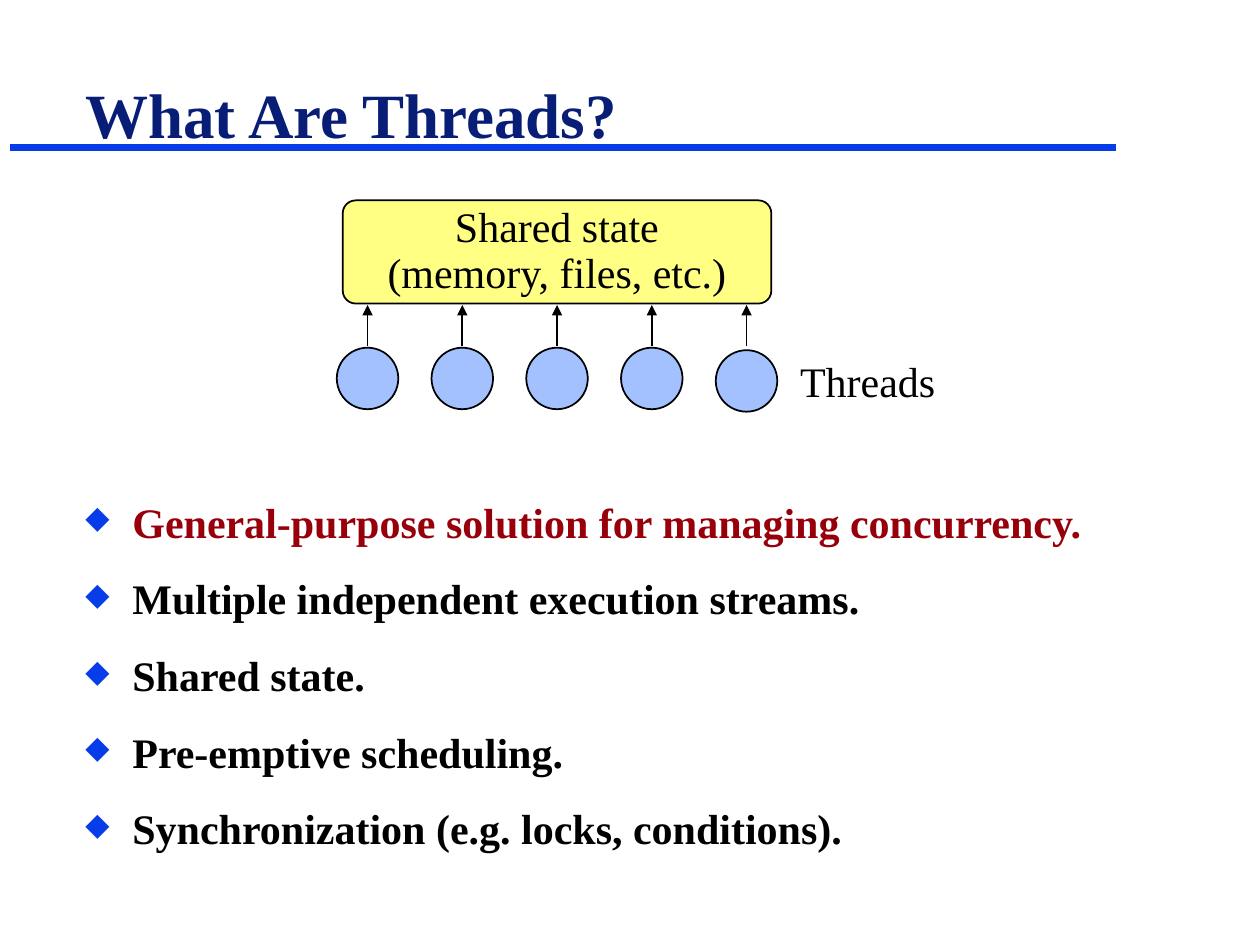
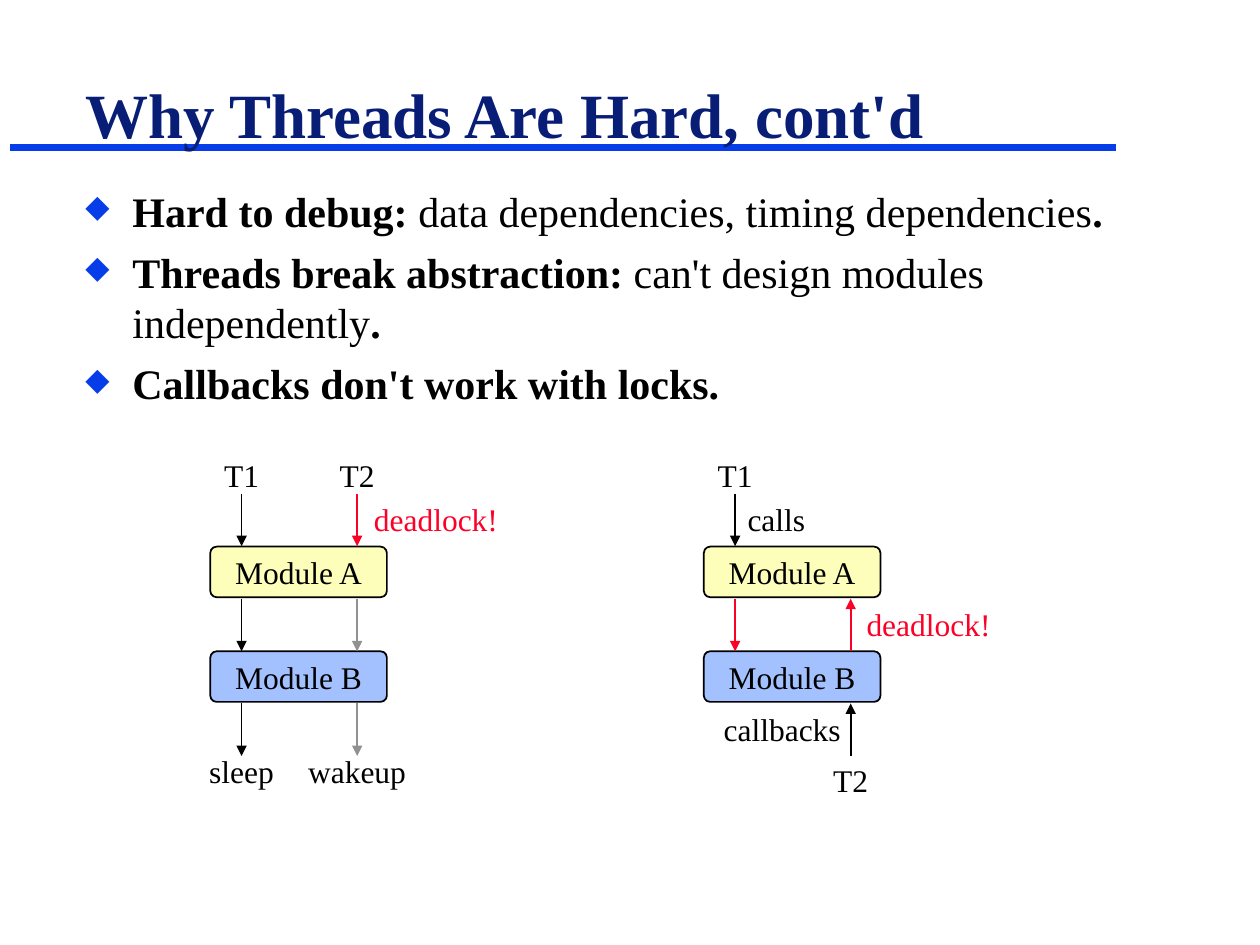
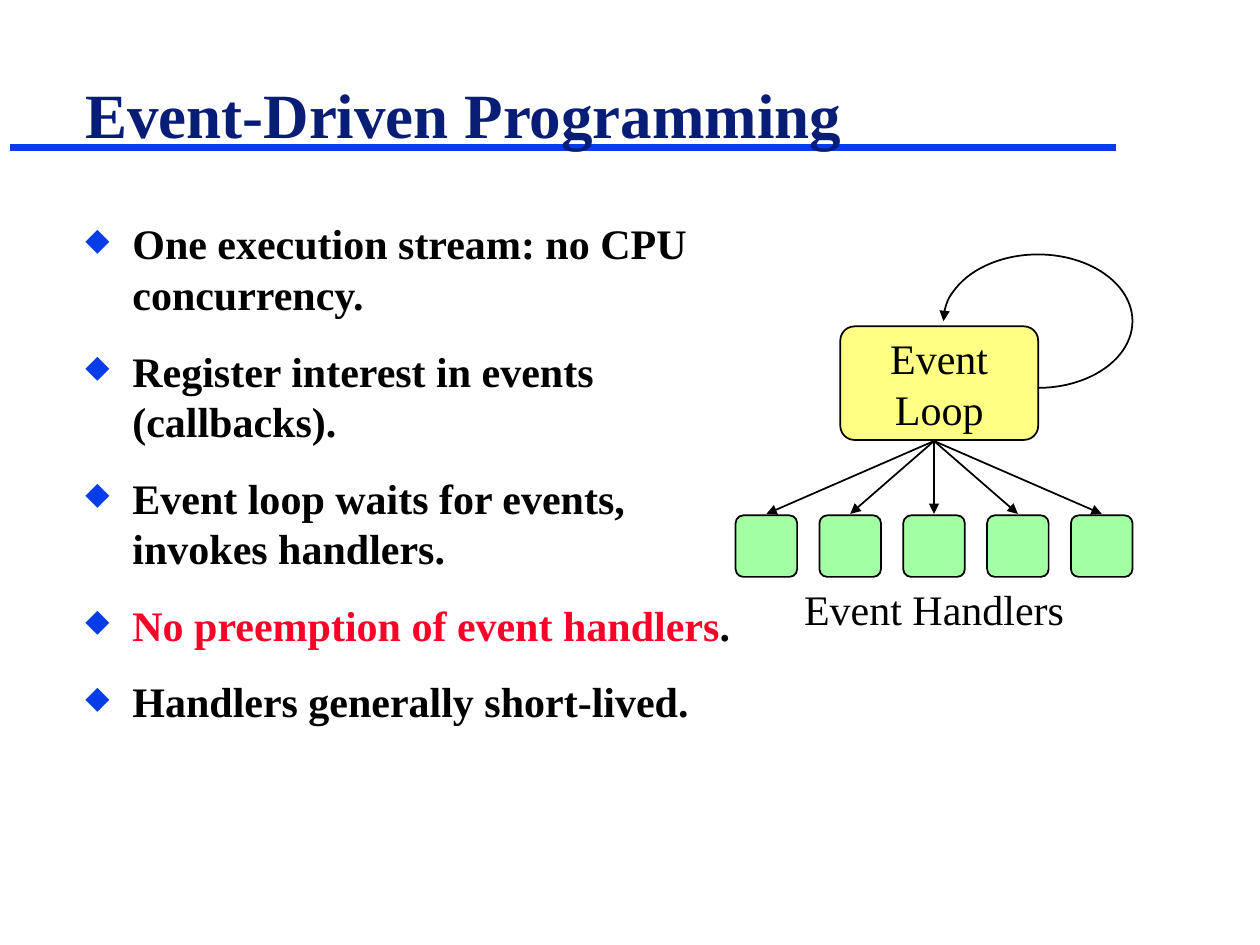
from lxml import etree
from pptx import Presentation
from pptx import util as u
from pptx.dml import color
from pptx.enum import shapes, text
from pptx.oxml import ns

FONT = "Times New Roman"
NAVY, BLUE, MAROON = "081D75", "063DE8", "97000A"
BLACK, GREY, RED = "000000", "919191", "FC0128"
YELLOW, CREAM, SKY, GREEN = "FFFF84", "FCFEB9", "A2C1FE", "A2FFA3"
SHAPE, ALIGN, ANCHOR = shapes.MSO_SHAPE, text.PP_ALIGN, text.MSO_ANCHOR


def rgb(value):
    return color.RGBColor.from_string(value)


def child(parent, tag, **attrs):
    return etree.SubElement(parent, ns.qn(tag), attrs)


class Deck:
    """Holds the shared style and draws on the current slide, in centimetres."""

    def __init__(self):
        self.prs = Presentation()
        self.prs.slide_width, self.prs.slide_height = u.Cm(25.4), u.Cm(19.05)
        self.s = None

    def slide(self, title):
        self.s = self.prs.slides.add_slide(self.prs.slide_layouts[6])
        self.line(0.2, 2.97, 22.5, 2.97, BLUE, 4, arrow=False)
        sp = self.text(title, 1.47, 0.1, 22.86, 3.07, 36, NAVY, bold=True)
        sp.text_frame.vertical_anchor = ANCHOR.BOTTOM

    def font(self, r, size, colour, bold=False):
        r.font.name, r.font.size, r.font.bold = FONT, u.Pt(size), bold
        r.font.color.rgb = rgb(colour)

    def fill_text(self, tf, words, size, colour, align, bold=False):
        tf.text = words
        for p in tf.paragraphs:
            p.alignment = align
            for r in p.runs:
                self.font(r, size, colour, bold)

    def text(self, words, x, y, w, h, size=18, colour=BLACK, align=ALIGN.LEFT, bold=False):
        sp = self.s.shapes.add_textbox(u.Cm(x), u.Cm(y), u.Cm(w), u.Cm(h))
        sp.text_frame.word_wrap = True
        self.fill_text(sp.text_frame, words, size, colour, align, bold)
        return sp

    def label(self, words, centre, y, w, size=18, colour=BLACK):
        h = 1.27 if size == 24 else 1.02
        self.text(words, centre - w / 2, y, w, h, size, colour, ALIGN.CENTER)

    def bullets(self, items, x, y, w, h, gap=15):
        tf = self.text("", x, y, w, h).text_frame
        for i, item in enumerate(items):
            p = tf.add_paragraph() if i else tf.paragraphs[0]
            p.space_before = u.Pt(gap)
            pPr = p._p.get_or_add_pPr()
            pPr.set("marL", str(u.Cm(0.95)))
            pPr.set("indent", str(u.Cm(-0.95)))
            child(child(pPr, "a:buClr"), "a:srgbClr", val=BLUE)
            child(pPr, "a:buSzPct", val="75000")
            child(pPr, "a:buChar", char="◆")
            for words, bold, colour in item:
                r = p.add_run()
                r.text = words
                self.font(r, 24, colour, bold)

    def shape(self, kind, x, y, w, h, fill=None, words="", size=24):
        sp = self.s.shapes.add_shape(kind, u.Cm(x), u.Cm(y), u.Cm(w), u.Cm(h))
        sp.shadow.inherit = False
        if fill:
            sp.fill.solid()
            sp.fill.fore_color.rgb = rgb(fill)
        else:
            sp.fill.background()
        sp.line.color.rgb, sp.line.width = rgb(BLACK), u.Pt(1)
        if words:
            sp.text_frame.word_wrap = False
            self.fill_text(sp.text_frame, words, size, BLACK, ALIGN.CENTER)
        return sp

    def box(self, x, y, w, h, fill, words="", size=24):
        sp = self.shape(SHAPE.ROUNDED_RECTANGLE, x, y, w, h, fill, words, size)
        sp.adjustments[0] = 0.125
        return sp

    def line(self, x1, y1, x2, y2, colour=BLACK, width=1, arrow=True):
        sp = self.s.shapes.add_connector(
            shapes.MSO_CONNECTOR.STRAIGHT, u.Cm(x1), u.Cm(y1), u.Cm(x2), u.Cm(y2))
        sp.line.color.rgb, sp.line.width = rgb(colour), u.Pt(width)
        if arrow:
            child(sp.line._get_or_add_ln(), "a:tailEnd", type="triangle")
        child(sp._element.spPr, "a:effectLst")

    def arc(self, x, y, w, h, start, end):
        sp = self.shape(SHAPE.ARC, x, y, w, h)
        sp.adjustments[0], sp.adjustments[1] = start * 0.6, end * 0.6
        child(sp.line._get_or_add_ln(), "a:headEnd", type="triangle")


def plain(*lines):
    return [[(words, True, BLACK)] for words in lines]


def threads(d):
    d.slide("What Are Threads?")
    d.bullets(
        [[("General-purpose solution for managing concurrency.", True, MAROON)]]
        + plain("Multiple independent execution streams.", "Shared state.",
                "Pre-emptive scheduling.", "Synchronization (e.g. locks, conditions)."),
        1.47, 9.88, 22.86, 8.31)
    state = d.box(6.91, 4.04, 8.64, 2.08, YELLOW, "Shared state\n(memory, files, etc.)")
    for p in state.text_frame.paragraphs:
        p.line_spacing = 0.9
    for i, top in enumerate([7.01] * 4 + [7.06]):
        centre = 7.41 + 1.91 * i
        d.shape(SHAPE.OVAL, centre - 0.62, top, 1.24, 1.24, SKY)
        d.line(centre, 6.98, centre, 6.15)
    d.text("Threads", 15.88, 7.04, 3.63, 1.27, 24)


def hard(d):
    d.slide("Why Threads Are Hard, cont'd")
    d.bullets(
        [[("Hard to debug: ", True, BLACK),
          ("data dependencies, timing dependencies", False, BLACK), (".", True, BLACK)],
         [("Threads break abstraction: ", True, BLACK),
          ("can't design modules independently", False, BLACK), (".", True, BLACK)]]
        + plain("Callbacks don't work with locks."),
        1.47, 3.61, 21.39, 12.7, gap=6)

    tiers = [9.95, 12.07, 14.18]
    drop, t1, t2, shift = 1.06, 4.87, 7.2, 9.95
    for dx in (0, shift):
        d.box(4.24 + dx, 11.02, 3.56, 1.02, CREAM, "Module A", 18)
        d.box(4.24 + dx, 13.13, 3.56, 1.02, SKY, "Module B", 18)
        d.label("T1", t1 + dx, 9.07, 1.73)

    for y, colour in zip(tiers, (RED, GREY, GREY)):
        d.line(t1, y, t1, y + drop)
        d.line(t2, y, t2, y + drop, colour)
    d.label("T2", t2, 9.07, 2.13)
    d.label("deadlock!", 8.79, tiers[0], 3.2, colour=RED)
    d.label("sleep", t1, 15.04, 2.57)
    d.label("wakeup", t2, 15.04, 3.4)

    t1, t2 = t1 + shift, t2 + shift
    for y, colour in zip(tiers[:2], (BLACK, RED)):
        d.line(t1, y, t1, y + drop, colour)
    for y, colour in zip(tiers[1:], (RED, BLACK)):
        d.line(t2, y + drop, t2, y, colour)
    d.text("calls", t1, tiers[0], 3.2, 1.02)
    d.label("deadlock!", 18.72, tiers[1], 3.2, colour=RED)
    d.label("callbacks", 15.77, tiers[2], 3.2)
    d.label("T2", t2, 15.21, 2.13)


def events(d):
    d.slide("Event-Driven Programming")
    d.bullets(
        plain("One execution stream: no CPU concurrency.",
              "Register interest in events (callbacks).",
              "Event loop waits for events, invokes handlers.")
        + [[("No preemption of event handlers", True, RED), (".", True, BLACK)]]
        + plain("Handlers generally short-lived."),
        1.47, 4.27, 13.59, 13.94)
    d.box(16.94, 6.58, 3.99, 2.29, YELLOW, "Event\nLoop")
    d.arc(19.02, 5.13, 3.81, 2.69, 180, 90)
    for i in range(5):
        centre = 15.45 + 1.69 * i
        d.box(centre - 0.62, 10.39, 1.24, 1.24, GREEN)
        d.line(18.83, 8.89, centre, 10.36)
    d.label("Event Handlers", 18.83, 11.63, 6.38, 24)


def main():
    d = Deck()
    for build in (threads, hard, events):
        build(d)
    d.prs.save("out.pptx")


if __name__ == "__main__":
    main()
